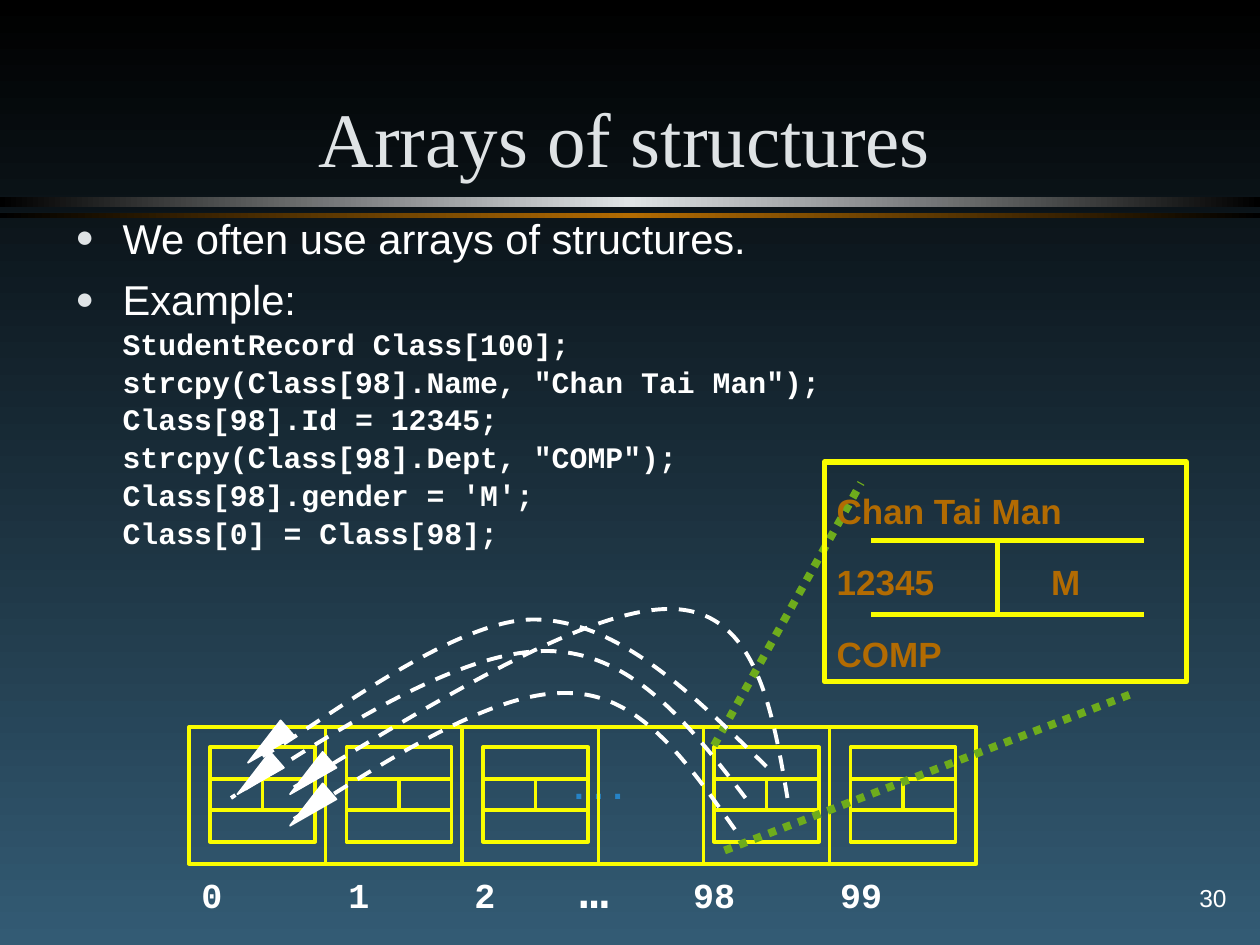
from copy import deepcopy
from dataclasses import dataclass

from lxml.etree import SubElement
from pptx import Presentation
from pptx.dml.color import RGBColor
from pptx.enum.dml import MSO_LINE
from pptx.enum.shapes import MSO_CONNECTOR, MSO_SHAPE
from pptx.enum.text import MSO_ANCHOR, PP_ALIGN
from pptx.oxml.ns import qn
from pptx.util import Pt


@dataclass(frozen=True)
class Theme:
    black: str = "000000"
    navy: str = "335B74"
    silver: str = "DFE3E5"
    white: str = "FFFFFF"
    yellow: str = "FAFD00"
    orange: str = "B26B02"
    blue: str = "2683C6"
    green: str = "6EAC1C"
    sans: str = "Arial"
    serif: str = "Times New Roman"
    mono: str = "Courier New"
    title: float = 44
    body: float = 23.8
    code: float = 17
    label: float = 20
    ellipsis: float = 28
    number: float = 14
    thin: float = 2.25
    card: float = 3
    dots: float = 4.5


T = Theme()

CODE = [
    "StudentRecord Class[100];",
    'strcpy(Class[98].Name, "Chan Tai Man");',
    "Class[98].Id = 12345;",
    'strcpy(Class[98].Dept, "COMP");',
    "Class[98].gender = 'M';",
    "Class[0] = Class[98];",
]
# Each curve: a start point, then three points for each Bezier segment
COPY_CURVES = [
    [(438, 438), (396, 397), (354, 355), (306, 354), (258, 353), (176, 419), (150, 432)],
    [(426, 456), (394, 414), (361, 372), (312, 372), (263, 372), (197, 414), (132, 456)],
    [(450, 456), (441, 402), (431, 349), (384, 348), (337, 347), (253, 398), (168, 450)],
    [(420, 474), (393, 436), (366, 396), (324, 396), (282, 395), (225, 432), (168, 468)],
]
ARROWHEADS = [(147, 411), (141, 429), (171, 429), (171, 447)]


def rgb(color):
    return RGBColor.from_string(color)


def gradient(owner, fill, colors, angle):
    fill.gradient()
    fill.gradient_angle = angle
    stops = next(owner.iter(qn("a:gsLst")))
    while len(stops) < len(colors):
        stops.append(deepcopy(stops[0]))
    for i, (stop, color) in enumerate(zip(fill.gradient_stops, colors)):
        stop.color.rgb = rgb(color)
        stop.position = i / (len(colors) - 1)


def style_line(line, color, width, dash=None):
    line.color.rgb = rgb(color)
    line.width = Pt(width)
    if dash:
        line.dash_style = dash


def add_box(s, x, y, w, h, color, width):
    sp = s.shapes.add_shape(MSO_SHAPE.RECTANGLE, Pt(x), Pt(y), Pt(w), Pt(h))
    sp.shadow.inherit = False
    sp.fill.background()
    style_line(sp.line, color, width)
    return sp


def add_bar(s, y, h, colors):
    sp = s.shapes.add_shape(MSO_SHAPE.RECTANGLE, 0, Pt(y), Pt(720), Pt(h))
    sp.shadow.inherit = False
    sp.line.fill.background()
    gradient(sp._element, sp.fill, colors, 0)


def add_rule(s, x1, y1, x2, y2, color=T.yellow, width=T.thin, dash=None):
    sp = s.shapes.add_connector(MSO_CONNECTOR.STRAIGHT, Pt(x1), Pt(y1), Pt(x2), Pt(y2))
    style_line(sp.line, color, width, dash)
    SubElement(sp._element.spPr, qn("a:effectLst"))


def add_curve(s, points):
    start, *rest = [(Pt(x), Pt(y)) for x, y in points]
    builder = s.shapes.build_freeform(*start)
    builder.add_line_segments(rest, close=False)
    sp = builder.convert_to_shape()
    sp.shadow.inherit = False
    sp.fill.background()
    style_line(sp.line, T.white, T.thin, MSO_LINE.DASH)
    # Turn every three straight segments into one Bezier segment
    outline = next(sp._element.iter(qn("a:path")))
    segments = outline.findall(qn("a:lnTo"))
    for i in range(0, len(segments), 3):
        bezier = SubElement(outline, qn("a:cubicBezTo"))
        for segment in segments[i:i + 3]:
            bezier.append(segment[0])
            outline.remove(segment)


def add_arrowhead(s, x, y):
    sp = s.shapes.add_shape(MSO_SHAPE.ISOSCELES_TRIANGLE, Pt(x), Pt(y), Pt(12), Pt(30))
    sp.rotation = 229
    sp.shadow.inherit = False
    sp.fill.solid()
    sp.fill.fore_color.rgb = rgb(T.white)
    style_line(sp.line, T.white, 1)


def add_text_box(s, x, y, w, h, anchor=MSO_ANCHOR.TOP):
    tf = s.shapes.add_textbox(Pt(x), Pt(y), Pt(w), Pt(h)).text_frame
    tf.word_wrap = True
    tf.vertical_anchor = anchor
    return tf


def add_run(p, text, size, color, font=T.sans, bold=False):
    r = p.add_run()
    r.text = text
    r.font.size, r.font.name, r.font.bold = Pt(size), font, bold
    r.font.color.rgb = rgb(color)
    return r


def add_break(p, r):
    p.add_line_break()
    p._p[-1].append(deepcopy(r._r.rPr))


def set_bullet(p):
    pPr = p._p.get_or_add_pPr()
    pPr.set("marL", str(Pt(27)))
    pPr.set("indent", str(-Pt(27)))
    SubElement(SubElement(pPr, qn("a:buClr")), qn("a:srgbClr"), val=T.silver)
    SubElement(pPr, qn("a:buSzPct"), val="75000")
    SubElement(pPr, qn("a:buFont"), typeface=T.sans)
    SubElement(pPr, qn("a:buChar"), char="●")


def set_tabs(p, stops):
    tabs = SubElement(p._p.get_or_add_pPr(), qn("a:tabLst"))
    for stop in stops:
        SubElement(tabs, qn("a:tab"), pos=str(Pt(stop)), algn="l")


def add_body(s):
    tf = add_text_box(s, 36, 126, 606, 186)
    p = tf.paragraphs[0]
    p.line_spacing, p.space_before = 0.7, Pt(7)
    set_bullet(p)
    add_run(p, "We often use arrays of structures.", T.body, T.white)
    p = tf.add_paragraph()
    p.line_spacing, p.space_before = 1.06, Pt(5)
    set_bullet(p)
    r = add_run(p, "Example:", T.body, T.white)
    for code in CODE:
        add_break(p, r)
        r = add_run(p, code, T.code, T.white, T.mono, True)


def add_record(s, x, y=427, w=60, row=18):
    add_box(s, x, y, w, 3 * row, T.yellow, T.thin)
    for i in (1, 2):
        add_rule(s, x, y + i * row, x + w, y + i * row)
    add_rule(s, x + w / 2, y + row, x + w / 2, y + 2 * row)


def add_array(s):
    for x in (120, 198, 276, 408, 486):
        add_record(s, x)
    p = add_text_box(s, 321, 433.5, 96, 32).paragraphs[0]
    add_run(p, ". . .", T.label, T.blue, bold=True)
    add_box(s, 108, 415.5, 450, 78, T.yellow, T.thin)
    for x in (186, 264, 342, 402, 474):
        add_rule(s, x, 415.5, x, 493.5)
    # Index labels
    p = add_text_box(s, 108, 487.5, 458, 41).paragraphs[0]
    set_tabs(p, (84, 156, 216, 281, 365))
    for text, size in (("0\t1\t2\t", T.label), ("…", T.ellipsis), ("\t98\t99", T.label)):
        add_run(p, text, size, T.white, T.mono, True)


def add_card(s):
    for ends in ((408, 426, 492, 276), (414, 486, 648, 396)):
        add_rule(s, *ends, T.green, T.dots, MSO_LINE.ROUND_DOT)
    tf = add_box(s, 471, 264, 207, 125.5, T.yellow, T.card).text_frame
    tf.vertical_anchor = MSO_ANCHOR.TOP
    for i, text in enumerate(("Chan Tai Man", "12345\tM", "COMP")):
        p = tf.add_paragraph() if i else tf.paragraphs[0]
        p.alignment = PP_ALIGN.LEFT
        p.line_spacing, p.space_before = 1.5, Pt(5)
        set_tabs(p, (122.5,))
        add_run(p, text, T.label, T.orange, bold=True)
    for ends in ((498, 309, 654, 309), (498, 351, 654, 351), (570, 309, 570, 351)):
        add_rule(s, *ends, width=T.card)


def main():
    prs = Presentation()
    prs.slide_width, prs.slide_height = Pt(720), Pt(540)
    s = prs.slides.add_slide(prs.slide_layouts[6])

    # Background and bars
    gradient(s._element, s.background.fill, (T.black, T.navy), 270)
    add_bar(s, 112.5, 6, (T.black, T.silver, T.black))
    add_bar(s, 121.5, 3, (T.black, T.orange, T.black))

    # Page number, title and body
    p = add_text_box(s, 612, 492, 96, 42, MSO_ANCHOR.MIDDLE).paragraphs[0]
    p.alignment = PP_ALIGN.RIGHT
    add_run(p, "30", T.number, T.white)
    p = add_text_box(s, 48, 18, 618, 90, MSO_ANCHOR.BOTTOM).paragraphs[0]
    p.alignment = PP_ALIGN.CENTER
    add_run(p, "Arrays of structures", T.title, T.silver, T.serif)
    add_body(s)

    # Array, enlarged record and copy arrows
    add_array(s)
    add_card(s)
    for points in COPY_CURVES:
        add_curve(s, points)
    for x, y in ARROWHEADS:
        add_arrowhead(s, x, y)
    prs.save("out.pptx")


if __name__ == "__main__":
    main()
